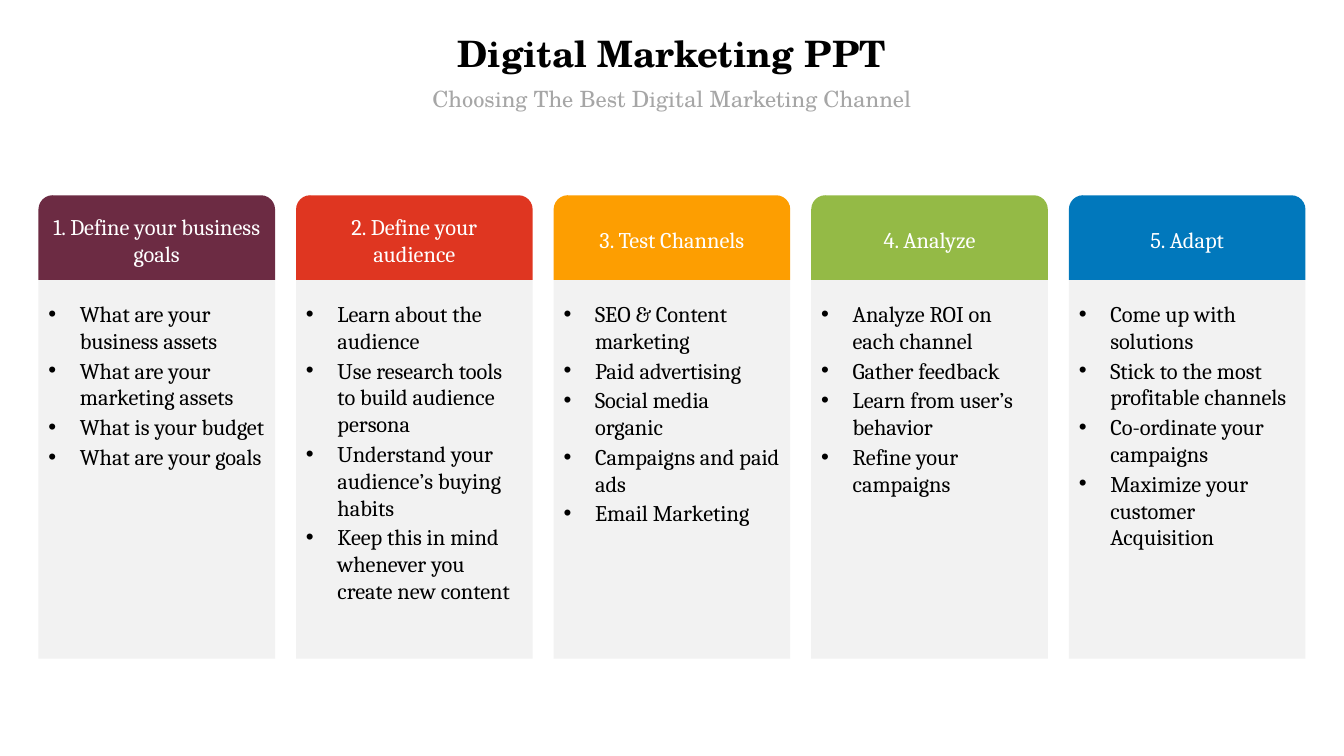
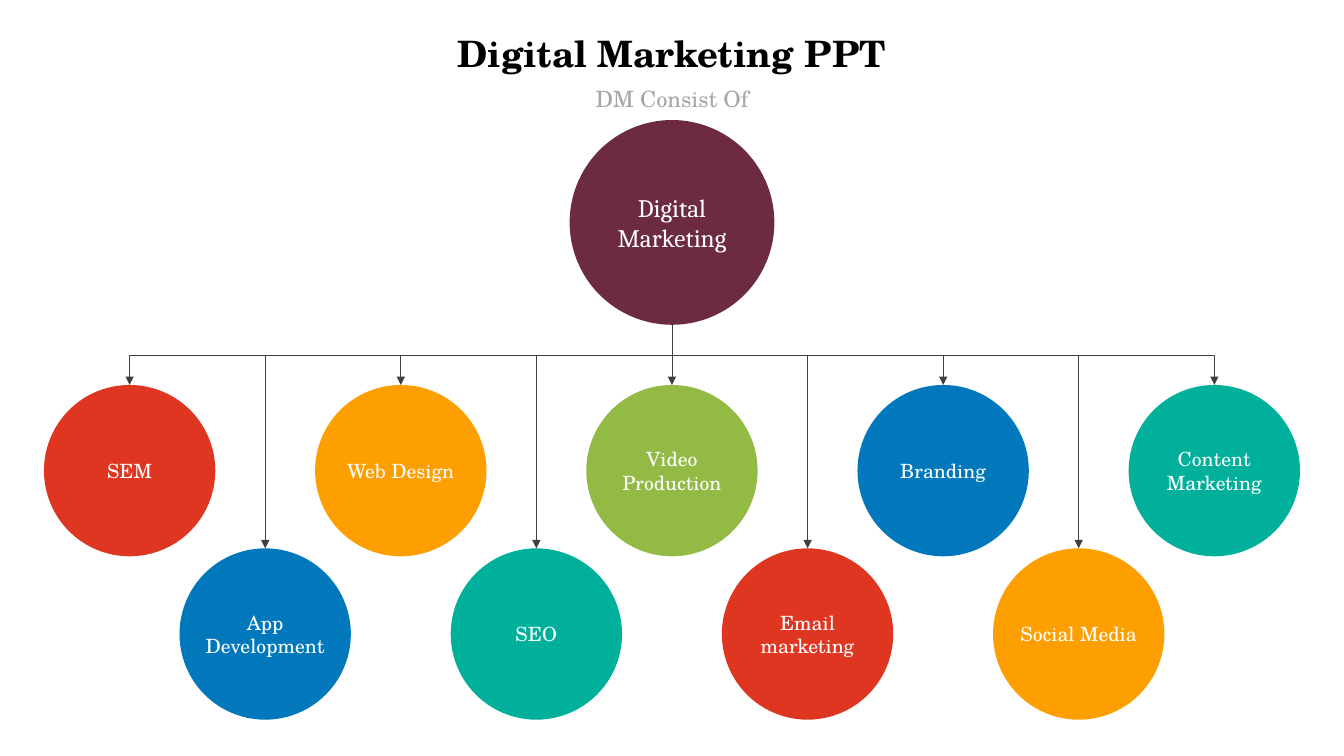
from pptx import Presentation
from pptx.dml.color import RGBColor
from pptx.enum.shapes import MSO_CONNECTOR, MSO_SHAPE
from pptx.enum.text import MSO_ANCHOR, MSO_AUTO_SIZE, PP_ALIGN
from pptx.oxml.ns import qn
from pptx.util import Pt
from lxml.etree import SubElement

COLORS = {
    "plum": "6C2B43", "red": "DF3621", "orange": "FD9E01", "green": "94BA46",
    "blue": "0178BC", "teal": "00B09B", "panel": "F2F2F2", "line": "404040",
    "black": "000000", "gray": "A6A6A6", "white": "FFFFFF",
}
SERIF, SCHOLA = "Cambria", "TeX Gyre Schola"
W, H = 960, 540


def add_text(p, text, size, color, font, align=PP_ALIGN.CENTER, bold=False):
    p.alignment = align
    r = p.add_run()
    r.text = text
    r.font.size, r.font.name, r.font.bold = Pt(size), font, bold
    r.font.color.rgb = RGBColor.from_string(COLORS[color])


def add_box(s, kind, x, y, w, h, color):
    sp = s.shapes.add_shape(kind, Pt(x), Pt(y), Pt(w), Pt(h))
    sp.shadow.inherit = False
    sp.fill.solid()
    sp.fill.fore_color.rgb = RGBColor.from_string(COLORS[color])
    sp.line.fill.background()
    sp.text_frame.word_wrap = True
    sp.text_frame.vertical_anchor = MSO_ANCHOR.MIDDLE
    return sp


prs = Presentation()
prs.slide_width, prs.slide_height = Pt(W), Pt(H)

# Titles and subtitles
slides = []
for subtitle in ["Choosing The Best Digital Marketing Channel", "DM Consist Of"]:
    s = prs.slides.add_slide(prs.slide_layouts[0])
    for sp, text, y, h, size, color, bold in [
        (s.shapes.title, "Digital Marketing PPT", 18.7, 38.9, 26, "black", True),
        (s.placeholders[1], subtitle, 56.9, 26.6, 16, "gray", False),
    ]:
        sp.left, sp.top, sp.width, sp.height = Pt(0), Pt(y), Pt(W), Pt(h)
        tf = sp.text_frame
        tf.word_wrap = True
        tf.auto_size = MSO_AUTO_SIZE.NONE
        tf.vertical_anchor = MSO_ANCHOR.TOP
        p = tf.paragraphs[0]
        p.space_before = Pt(0)
        add_text(p, text, size, color, SCHOLA, bold=bold)
    slides.append(s)

# Slide 1: five step columns
s = slides[0]
steps = [
    ("1. Define your business goals", "plum",
     ["What are your business assets", "What are your marketing assets",
      "What is your budget", "What are your goals"]),
    ("2. Define your audience", "red",
     ["Learn about the audience", "Use research tools to build audience persona",
      "Understand your audience’s buying habits",
      "Keep this in mind whenever you create new content"]),
    ("3. Test Channels", "orange",
     ["SEO & Content marketing", "Paid advertising", "Social media organic",
      "Campaigns and paid ads", "Email Marketing"]),
    ("4. Analyze", "green",
     ["Analyze ROI on each channel", "Gather feedback",
      "Learn from user’s behavior", "Refine your campaigns"]),
    ("5. Adapt", "blue",
     ["Come up with solutions", "Stick to the most profitable channels",
      "Co-ordinate your campaigns", "Maximize your customer Acquisition"]),
]
col_w, gap = 169, 15
left = (W - 5 * col_w - 4 * gap) / 2
head_y, head_h, panel_h = 139.5, 60.5, 270.5
for i, (heading, color, items) in enumerate(steps):
    x = left + i * (col_w + gap)
    head = add_box(s, MSO_SHAPE.ROUND_2_SAME_RECTANGLE, x, head_y, col_w, head_h, color)
    add_text(head.text_frame.paragraphs[0], heading, 16, "white", SERIF)

    panel = add_box(s, MSO_SHAPE.RECTANGLE, x, head_y + head_h, col_w, panel_h, "panel")
    tf = panel.text_frame
    tf.vertical_anchor = MSO_ANCHOR.TOP
    tf.margin_top = Pt(14.4)
    for j, item in enumerate(items):
        p = tf.add_paragraph() if j else tf.paragraphs[0]
        p.space_before = Pt(2)
        add_text(p, item, 16, "black", SERIF, PP_ALIGN.LEFT)
        pPr = p._p.get_or_add_pPr()
        pPr.set("marL", str(Pt(22.5)))
        pPr.set("indent", str(-Pt(22.5)))
        SubElement(pPr, qn("a:buFont")).set("typeface", "Arial")
        SubElement(pPr, qn("a:buChar")).set("char", "•")

# Slide 2: hub with nine channels in two staggered rows
s = slides[1]
channels = [
    ("SEM", "red"), ("App Development", "blue"), ("Web Design", "orange"),
    ("SEO", "teal"), ("Video Production", "green"), ("Email marketing", "red"),
    ("Branding", "blue"), ("Social Media", "orange"), ("Content Marketing", "teal"),
]
mid, hub_y, hub_d = W / 2, 85.75, 146.25
hub_bottom, bus_drop = hub_y + hub_d, 21.5
channel_d, pitch, row_tops = 122.4, 96.85, [275, 391.7]

circles = [("Digital Marketing", "plum", mid, hub_y, hub_d, 18, SERIF)]
for i, (name, color) in enumerate(channels):
    circles.append((name, color, mid + (i - 4) * pitch, row_tops[i % 2],
                    channel_d, 14, SCHOLA))
for name, color, cx, y, d, size, font in circles:
    circle = add_box(s, MSO_SHAPE.OVAL, cx - d / 2, y, d, d, color)
    circle.text_frame.margin_left = circle.text_frame.margin_right = 0
    add_text(circle.text_frame.paragraphs[0], name, size, "white", font)

# Arrows from the hub to each channel
for name, color, cx, y, d, size, font in circles[1:]:
    dx, dy = cx - mid, y - hub_bottom
    if dx == 0:
        c = s.shapes.add_connector(MSO_CONNECTOR.STRAIGHT, Pt(mid), Pt(hub_bottom),
                                   Pt(cx), Pt(y))
    else:
        # An elbow leaves sideways, so it is laid flat and turned to leave downwards
        side = 1 if dx > 0 else -1
        mx, my = (mid + cx) / 2, (hub_bottom + y) / 2
        c = s.shapes.add_connector(
            MSO_CONNECTOR.ELBOW,
            Pt(mx + side * dy / 2), Pt(my - abs(dx) / 2),
            Pt(mx - side * dy / 2), Pt(my + abs(dx) / 2))
        spPr = c._element.spPr
        spPr.find(qn("a:xfrm")).set("rot", "16200000" if side > 0 else "5400000")
        guide = SubElement(spPr.find(qn("a:prstGeom")).find(qn("a:avLst")), qn("a:gd"))
        guide.set("name", "adj1")
        guide.set("fmla", f"val {round(bus_drop / dy * 100000)}")
    c.line.width = Pt(0.5)
    c.line.color.rgb = RGBColor.from_string(COLORS["line"])
    SubElement(c.line._get_or_add_ln(), qn("a:tailEnd")).set("type", "triangle")
    SubElement(c._element.spPr, qn("a:effectLst"))

prs.save("out.pptx")
